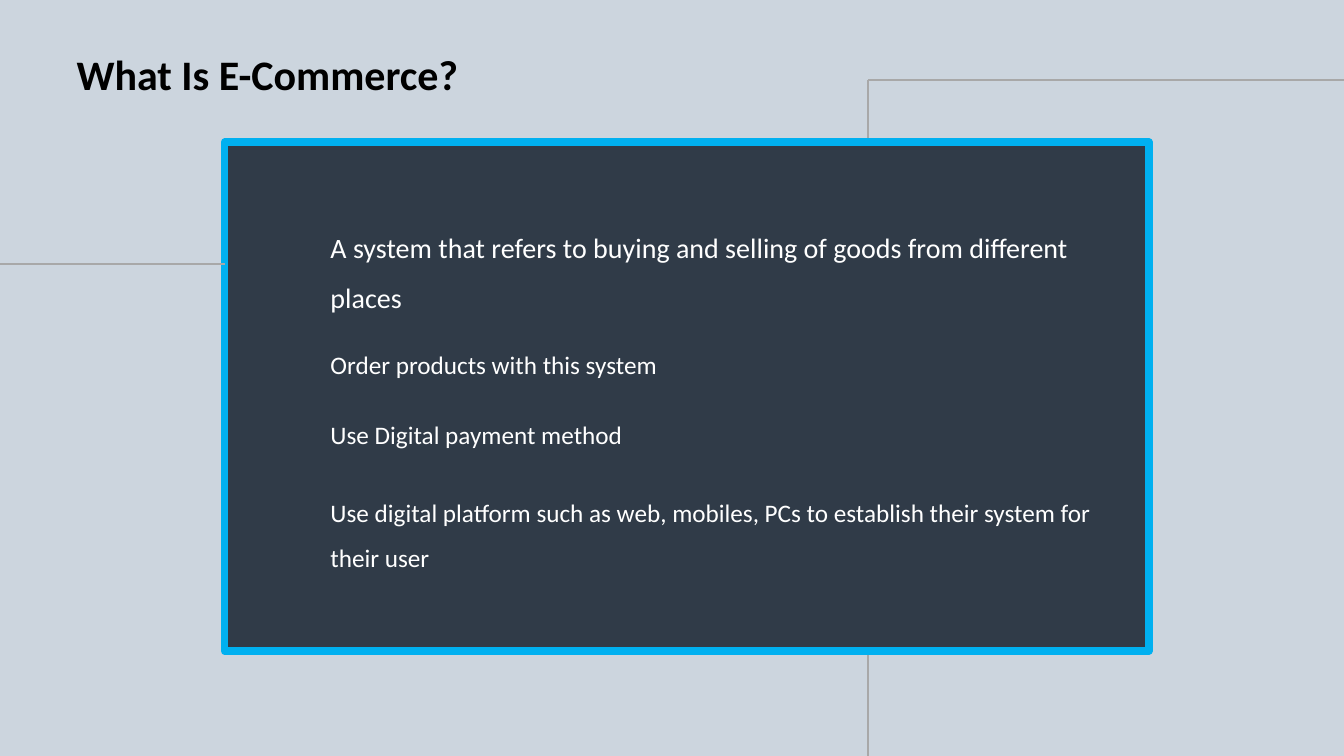
from lxml.etree import SubElement
from pptx import Presentation
from pptx.dml.color import RGBColor
from pptx.enum.shapes import MSO_CONNECTOR, MSO_SHAPE
from pptx.enum.text import MSO_ANCHOR, MSO_AUTO_SIZE, PP_ALIGN
from pptx.oxml.ns import qn
from pptx.util import Pt

BACKDROP = RGBColor(0xCC, 0xD5, 0xDE)
NAVY = RGBColor(0x30, 0x3B, 0x48)
CYAN = RGBColor(0x00, 0xB0, 0xF0)
GREY = RGBColor(0xA8, 0xA8, 0xA8)
WHITE = RGBColor(0xFF, 0xFF, 0xFF)
BLACK = RGBColor(0x00, 0x00, 0x00)


def write(holder, text, *, size, color, spacing, bold=False, inset=(7.2, 3.6)):
    frame = holder.text_frame
    frame.word_wrap = True
    frame.auto_size = MSO_AUTO_SIZE.NONE
    frame.vertical_anchor = MSO_ANCHOR.TOP
    frame.margin_left = frame.margin_right = Pt(inset[0])
    frame.margin_top = frame.margin_bottom = Pt(inset[1])
    frame.text = text
    paragraph = frame.paragraphs[0]
    paragraph.alignment = PP_ALIGN.LEFT
    paragraph.line_spacing = spacing
    paragraph.space_before = Pt(0)
    font = paragraph.runs[0].font
    font.name, font.size, font.bold = "Calibri", Pt(size), bold
    font.color.rgb = color


def draw_rule(x1, y1, x2, y2, width):
    rule = slide.shapes.add_connector(
        MSO_CONNECTOR.STRAIGHT, Pt(x1), Pt(y1), Pt(x2), Pt(y2))
    rule.line.color.rgb = GREY
    rule.line.width = Pt(width)
    SubElement(rule._element.spPr, qn("a:effectLst"))


deck = Presentation()
deck.slide_width, deck.slide_height = Pt(960), Pt(540)
slide = deck.slides.add_slide(deck.slide_layouts[5])
slide.background.fill.solid()
slide.background.fill.fore_color.rgb = BACKDROP

title = slide.shapes.title
title.left, title.top, title.width, title.height = Pt(47.5), Pt(31.7), Pt(671), Pt(55.4)
write(title, "What Is E-Commerce?", size=30, color=BLACK, spacing=0.9,
      bold=True, inset=(7.2, 7.2))

draw_rule(620, 57, 620, 540, 1.25)

panel = slide.shapes.add_shape(
    MSO_SHAPE.RECTANGLE, Pt(160.5), Pt(101.5), Pt(660.2), Pt(363.6))
panel.shadow.inherit = False
panel.fill.solid()
panel.fill.fore_color.rgb = NAVY
panel.line.color.rgb = CYAN
panel.line.width = Pt(5.25)

draw_rule(0, 188.6, 160.5, 188.6, 1.5)
draw_rule(620, 57, 960, 57, 1.5)

points = [
    ("A system that refers to buying and selling of goods from different places",
     149, 112.3, 20),
    ("Order products with this system", 235.4, 36.7, 18),
    ("Use Digital payment method", 285.1, 36.7, 18),
    ("Use digital platform such as web, mobiles, PCs to establish their system for "
     "their user", 340.6, 69.1, 18),
]
for point, top, height, size in points:
    box = slide.shapes.add_textbox(Pt(229), Pt(top), Pt(578.2), Pt(height))
    write(box, point, size=size, color=WHITE, spacing=1.5)

deck.save("out.pptx")
